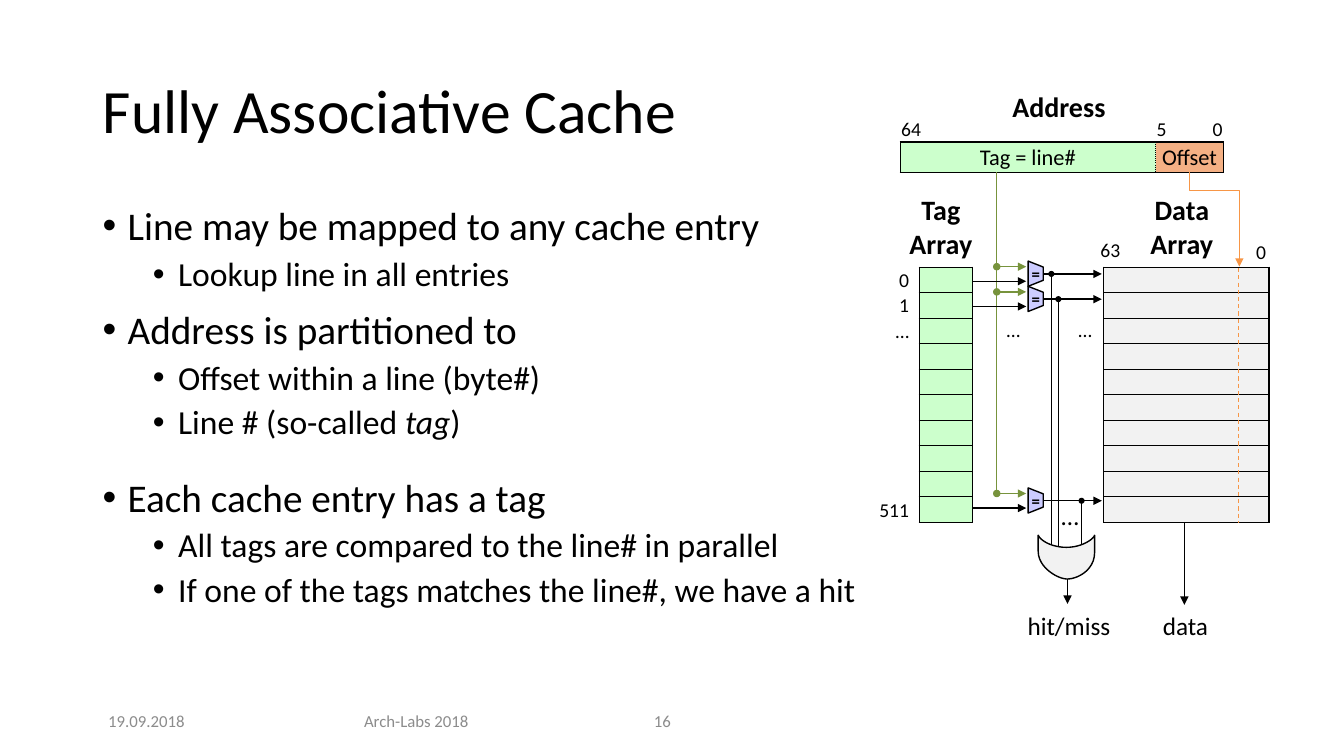
from dataclasses import dataclass
from typing import Optional

import lxml.etree
import pptx
import pptx.dml.color
import pptx.enum.shapes
import pptx.enum.text
import pptx.oxml.ns
import pptx.util

Pt = pptx.util.Pt
RGB = pptx.dml.color.RGBColor
ALIGN = pptx.enum.text.PP_ALIGN
ANCHOR = pptx.enum.text.MSO_ANCHOR
SHAPE = pptx.enum.shapes.MSO_SHAPE
LINK = pptx.enum.shapes.MSO_CONNECTOR
qn = pptx.oxml.ns.qn

FONT = "Calibri"
COLORS = {
    "black": "000000", "white": "FFFFFF", "footer": "8C8C8C", "tag": "CCFFCC",
    "offset": "F4B084", "data": "F2F2F2", "compare": "CCCCFF",
    "lookup": "77933C", "select": "F79646",
}
ROWS, ROW_HEIGHT, ARRAY_TOP = 10, 18.24, 190.8
GATE_TOP = 390.2


@dataclass
class Label:
    text: str
    x: float
    y: float
    width: float
    height: float
    size: float
    align: ALIGN = ALIGN.LEFT
    bold: bool = False
    color: str = "black"
    anchor: ANCHOR = ANCHOR.TOP
    wrap: bool = False


@dataclass
class Wire:
    x1: float
    y1: float
    x2: float
    y2: float
    color: str = "black"
    arrow: bool = False
    width: float = 1
    dash: Optional[str] = None


@dataclass
class Comparator:
    top: float
    bus_x: float


@dataclass
class Bullet:
    text: str  # words between asterisks are italic
    level: int = 0
    spacing: float = 0.9


def sub(parent, tag: str, **attributes: str):
    child = lxml.etree.SubElement(parent, qn(tag))
    for key, value in attributes.items():
        child.set(key, value)
    return child


def style_runs(paragraph, size: float, color: str = "black", bold: bool = False) -> None:
    for run in paragraph.runs:
        run.font.name, run.font.size, run.font.bold = FONT, Pt(size), bold
        run.font.color.rgb = RGB.from_string(COLORS[color])


def draw_label(slide, label: Label) -> None:
    frame = slide.shapes.add_textbox(
        Pt(label.x), Pt(label.y), Pt(label.width), Pt(label.height)).text_frame
    frame.word_wrap, frame.vertical_anchor = label.wrap, label.anchor
    frame.text = label.text
    for paragraph in frame.paragraphs:
        paragraph.alignment = label.align
        style_runs(paragraph, label.size, label.color, label.bold)


def style_wire(connector, wire: Wire) -> None:
    connector.line.color.rgb = RGB.from_string(COLORS[wire.color])
    connector.line.width = Pt(wire.width)
    outline = connector.line._get_or_add_ln()
    if wire.dash:
        sub(outline, "a:prstDash", val=wire.dash)
    if wire.arrow:
        sub(outline, "a:tailEnd", type="triangle")
    sub(connector._element.spPr, "a:effectLst")


def draw_wire(slide, wire: Wire) -> None:
    ends = (Pt(v) for v in (wire.x1, wire.y1, wire.x2, wire.y2))
    style_wire(slide.shapes.add_connector(LINK.STRAIGHT, *ends), wire)


def paint(shape, fill: str, line: str = "black") -> None:
    shape.shadow.inherit = False
    shape.fill.solid()
    shape.fill.fore_color.rgb = RGB.from_string(COLORS[fill])
    shape.line.color.rgb = RGB.from_string(COLORS[line])
    shape.line.width = Pt(1)


def draw_dot(slide, x: float, y: float, color: str) -> None:
    size = 4.3
    dot = slide.shapes.add_shape(
        SHAPE.OVAL, Pt(x - size / 2), Pt(y - size / 2), Pt(size), Pt(size))
    paint(dot, color, color)
    if color == "black":
        dot.line.fill.background()


def draw_outline(slide, points: list, fill: str):
    corners = [(Pt(x), Pt(y)) for x, y in points]
    builder = slide.shapes.build_freeform(*corners[0], scale=1.0)
    builder.add_line_segments(corners[1:], close=True)
    outline = builder.convert_to_shape()
    paint(outline, fill)
    return outline


def curve(start: tuple, c1: tuple, c2: tuple, end: tuple) -> list:
    steps = 12
    return [tuple((1 - t) ** 3 * a + 3 * (1 - t) ** 2 * t * b + 3 * (1 - t) * t * t * c + t ** 3 * d
                  for a, b, c, d in zip(start, c1, c2, end))
            for t in (i / steps for i in range(1, steps + 1))]


def draw_comparator(slide, unit: Comparator) -> None:
    left, right, top = 734.4, 745.2, unit.top
    lookup, output, stored = top + 4, top + 9.2, top + 14.4
    box = draw_outline(slide, [(left, top), (right, top + 4.3), (right, top + 13.7),
                               (left, top + 18)], "compare")
    frame = box.text_frame
    frame.margin_left = frame.margin_right = frame.margin_top = frame.margin_bottom = 0
    frame.word_wrap, frame.vertical_anchor = False, ANCHOR.MIDDLE
    frame.text = "="
    frame.paragraphs[0].alignment = ALIGN.CENTER
    style_runs(frame.paragraphs[0], 12, bold=True)
    draw_wire(slide, Wire(712, lookup, 733, lookup, "lookup", True))
    draw_dot(slide, 712, lookup, "lookup")
    draw_wire(slide, Wire(694.8, stored, 733, stored, arrow=True))
    draw_wire(slide, Wire(right, output, 787, output, arrow=True))
    draw_wire(slide, Wire(unit.bus_x, output, unit.bus_x, GATE_TOP))
    draw_dot(slide, unit.bus_x, output, "black")


def add_grid(slide, x: float, y: float, widths: list, heights: list):
    grid = slide.shapes.add_table(len(heights), len(widths), Pt(x), Pt(y),
                                  Pt(sum(widths)), Pt(sum(heights))).table
    grid.first_row = grid.horz_banding = False
    properties = grid._tbl.tblPr
    properties.find(qn("a:tableStyleId")).text = "{2D5ABB26-0587-4C30-8999-92F81FD0307C}"
    for column, width in zip(grid.columns, widths):
        column.width = Pt(width)
    for row, height in zip(grid.rows, heights):
        row.height = Pt(height)
    return grid


def fill_cell(cell, fill: str, text: str = "", size: float = 14, align: ALIGN = ALIGN.LEFT,
              anchor: ANCHOR = ANCHOR.MIDDLE, right: float = 0.72,
              borders: Optional[dict] = None) -> None:
    cell.margin_left = cell.margin_top = Pt(0.72)
    cell.margin_right, cell.margin_bottom = Pt(right), 0
    cell.vertical_anchor = anchor
    for side in "LRTB":
        if borders and side in borders:
            width, dash = borders[side]
            edge = sub(cell._tc.get_or_add_tcPr(), f"a:ln{side}", w=str(Pt(width)))
            sub(sub(edge, "a:solidFill"), "a:srgbClr", val=COLORS["black"])
            sub(edge, "a:prstDash", val=dash)
    cell.fill.solid()
    cell.fill.fore_color.rgb = RGB.from_string(COLORS[fill])
    paragraph = cell.text_frame.paragraphs[0]
    if text:
        paragraph.text, paragraph.alignment = text, align
        style_runs(paragraph, size)
    else:
        sub(paragraph._p, "a:endParaRPr", sz="800")


def array_borders(row: int) -> dict:
    thin, thick = (0.5, "solid"), (1, "solid")
    return {"L": thick, "R": thick, "T": thin if row else thick,
            "B": thick if row == ROWS - 1 else thin}


def draw_bullets(slide, bullets: list) -> None:
    frame = slide.shapes.add_textbox(Pt(66.2), Pt(144), Pt(828), Pt(325.4)).text_frame
    frame.word_wrap = True
    for index, bullet in enumerate(bullets):
        paragraph = frame.add_paragraph() if index else frame.paragraphs[0]
        paragraph.level, paragraph.line_spacing = bullet.level, bullet.spacing
        paragraph.space_before = Pt(6 if bullet.level else 12)
        for position, piece in enumerate(bullet.text.split("*")):
            run = paragraph.add_run()
            run.text, run.font.italic = piece, position % 2 == 1
        style_runs(paragraph, 24 if bullet.level else 28)
        properties = paragraph._p.get_or_add_pPr()
        properties.set("marL", str(Pt(18 + 36 * bullet.level)))
        properties.set("indent", str(-Pt(18)))
        sub(properties, "a:buFont", typeface="Arial")
        sub(properties, "a:buChar", char="•")


def main() -> None:
    deck = pptx.Presentation()
    deck.slide_width, deck.slide_height = Pt(960), Pt(540)
    slide = deck.slides.add_slide(deck.slide_layouts[5])

    # Title and bullets
    title = slide.shapes.title
    title.left, title.top, title.width, title.height = Pt(66.2), Pt(28.8), Pt(828), Pt(104.4)
    title.text_frame.text = "Fully Associative Cache"
    title.text_frame.vertical_anchor = ANCHOR.MIDDLE
    title.text_frame.paragraphs[0].alignment = ALIGN.LEFT
    title.text_frame.paragraphs[0].line_spacing = 0.9
    style_runs(title.text_frame.paragraphs[0], 44)
    draw_bullets(slide, [
        Bullet("Line may be mapped to any cache entry"),
        Bullet("Lookup line in all entries", 1),
        Bullet("Address is partitioned to"),
        Bullet("Offset within a line (byte#)", 1),
        Bullet("Line # (so-called *tag*)", 1),
        Bullet("Each cache entry has a tag", spacing=1.3),
        Bullet("All tags are compared to the line# in parallel", 1),
        Bullet("If one of the tags matches the line#, we have a hit", 1),
    ])

    # Data and tag arrays
    heights = [ROW_HEIGHT] * ROWS
    data_array = add_grid(slide, 788.4, ARRAY_TOP, [118], heights)
    tag_array = add_grid(slide, 623.5, ARRAY_TOP, [33.1, 38.2], heights)
    entries = {0: "0", 1: "1", 2: "…", ROWS - 1: "511"}
    for row in range(ROWS):
        fill_cell(data_array.cell(row, 0), "data", borders=array_borders(row))
        fill_cell(tag_array.cell(row, 0), "white", entries.get(row, ""), align=ALIGN.RIGHT,
                  anchor=ANCHOR.BOTTOM, right=7.2)
        fill_cell(tag_array.cell(row, 1), "tag", borders=array_borders(row))

    # Address fields
    address = add_grid(slide, 643, 82.8, [182.4, 25, 23.6], [18.7, 21.6])
    fill_cell(address.cell(0, 0), "white", "64", anchor=ANCHOR.BOTTOM)
    fill_cell(address.cell(0, 1), "white", "5")
    fill_cell(address.cell(0, 2), "white", "0", align=ALIGN.RIGHT)
    address.cell(1, 1).merge(address.cell(1, 2))
    solid, dotted = (1, "solid"), (0.5, "sysDot")
    frame_edges = {side: solid for side in "LRTB"}
    fill_cell(address.cell(1, 0), "tag", "Tag = line#", 16, ALIGN.CENTER,
              borders={**frame_edges, "R": dotted})
    fill_cell(address.cell(1, 1), "offset", "Offset", 16, ALIGN.CENTER,
              borders={**frame_edges, "L": dotted})
    fill_cell(address.cell(1, 2), "offset", borders=frame_edges)

    # Tag lookup, comparators and the OR gate
    draw_wire(slide, Wire(712, 123.1, 712, 354, "lookup"))
    for unit in (Comparator(186.5, 751), Comparator(204.5, 756), Comparator(348.5, 772.6)):
        draw_comparator(slide, unit)
    right, left, middle = 781.9, 741.6, 761.8
    gate = [(right, 394.6), (right, 382.3)]
    gate += curve(gate[-1], (781.2, 385.2), (772.6, 391), (middle, 391))
    gate += curve(gate[-1], (751, 391), (743, 385.9), (left, 382.3))
    gate.append((left, 393.8))
    gate += curve(gate[-1], (left, 405.4), (755.3, 413.3), (middle, 413.6))
    gate += curve(gate[-1], (768.2, 414), (right, 408.2), gate[0])
    draw_outline(slide, gate, "data")

    # Results and the selected byte
    for wire in (Wire(762.5, 413.3, 762.5, 431.3, arrow=True),
                 Wire(846, 373, 846, 432, arrow=True),
                 Wire(884.9, 191.5, 884.9, 373.7, "select", width=0.75, dash="dash")):
        if wire.dash:
            wire.color, wire.width = "select", 0.75
        draw_wire(slide, wire)
    select = slide.shapes.add_connector(LINK.ELBOW, Pt(833.8), Pt(139), Pt(901.4), Pt(174.3))
    placement = select._element.spPr.find(qn("a:xfrm"))
    placement.set("rot", "16200000")
    placement.set("flipH", "1")
    guides = select._element.spPr.find(qn("a:prstGeom")).find(qn("a:avLst"))
    sub(guides, "a:gd", name="adj1", fmla="val 19700")
    style_wire(select, Wire(0, 0, 0, 0, "select", True, 0.75))

    # Labels and footer
    center, gray = ALIGN.CENTER, {"color": "footer", "anchor": ANCHOR.MIDDLE, "wrap": True}
    for label in (
        Label("Address", 684.7, 60.5, 143.3, 31.7, 20, center, True, wrap=True),
        Label("Tag\nArray", 642.2, 133.9, 59.8, 55.4, 20, center, True),
        Label("Data\nArray", 814.3, 133.9, 59.8, 55.4, 20, center, True),
        Label("63", 779, 166.3, 28.8, 24.5, 14),
        Label("0", 889.9, 167.8, 21.6, 24.5, 14, ALIGN.RIGHT),
        Label("…", 712, 223.9, 24.5, 24.5, 14),
        Label("…", 763.2, 223.9, 24.5, 24.5, 14),
        Label("…", 751, 354.2, 27.4, 28.8, 18),
        Label("hit/miss", 726.5, 432.7, 74.2, 28.8, 18, center),
        Label("data", 823, 432.7, 47.5, 28.8, 18, center),
        Label("19.09.2018", 66.2, 500.4, 77, 28.8, 12, center, **gray),
        Label("Arch-Labs 2018", 240.5, 500.4, 113.8, 28.8, 12, center, **gray),
        Label("16", 460, 500.4, 56.9, 28.8, 12, **gray),
    ):
        draw_label(slide, label)

    deck.save("out.pptx")


if __name__ == "__main__":
    main()
